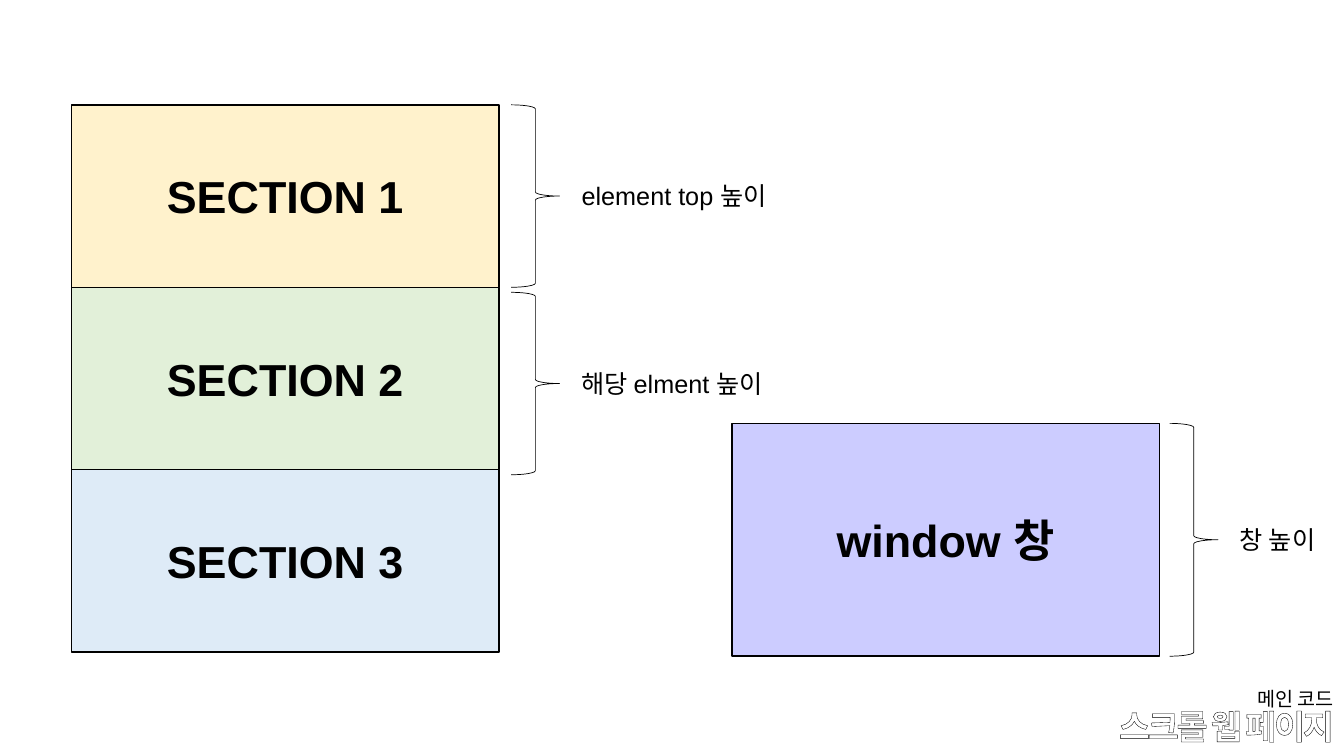
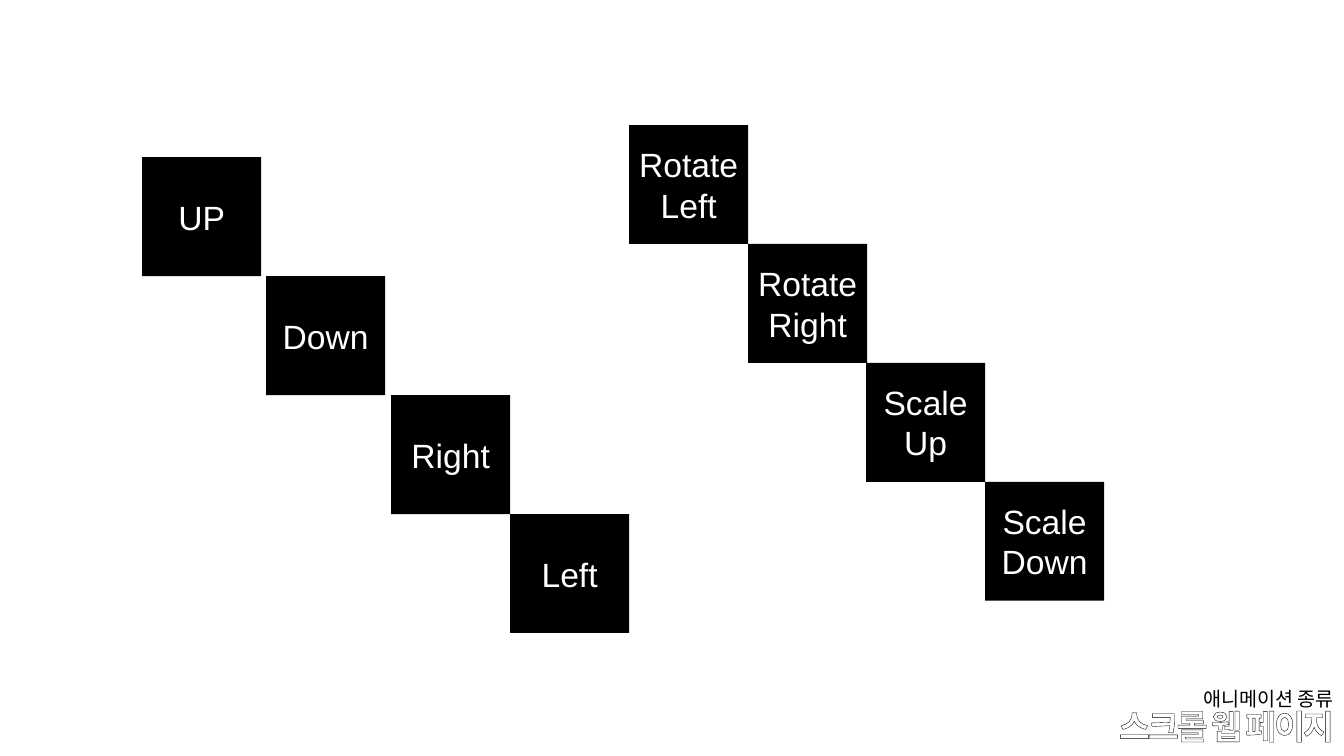
from lxml import etree
from pptx import Presentation
from pptx.dml.color import RGBColor
from pptx.enum.shapes import MSO_SHAPE
from pptx.enum.text import MSO_ANCHOR, MSO_AUTO_SIZE, PP_ALIGN
from pptx.oxml.ns import qn
from pptx.util import Pt

PX = 9144
BLACK = RGBColor(0x00, 0x00, 0x00)
WHITE = RGBColor(0xFF, 0xFF, 0xFF)
CREAM = RGBColor(0xFF, 0xF2, 0xCC)
GREEN = RGBColor(0xE2, 0xF0, 0xD9)
BLUE = RGBColor(0xDE, 0xEB, 0xF7)
LILAC = RGBColor(0xCC, 0xCC, 0xFF)
RECTANGLE = MSO_SHAPE.RECTANGLE
BRACE = MSO_SHAPE.RIGHT_BRACE
MIDDLE = MSO_ANCHOR.MIDDLE
TOP = MSO_ANCHOR.TOP
LEFT = PP_ALIGN.LEFT
CENTER = PP_ALIGN.CENTER
RIGHT = PP_ALIGN.RIGHT
NO_AUTOFIT = MSO_AUTO_SIZE.NONE

TITLE_FONT = {"name": "Noto Sans CJK KR", "size": Pt(24), "bold": True}
SUBTITLE_FONT = {"name": "Arial", "size": Pt(14)}
SECTION_FONT = {"name": "Arial", "size": Pt(32), "bold": True}
LABEL_FONT = {"name": "Arial", "size": Pt(18)}
TILE_FONT = {"name": "Arial", "size": Pt(24)}


def write(shape, text, font, color=BLACK, align=LEFT, anchor=TOP):
    frame = shape.text_frame
    frame.word_wrap = True
    frame.auto_size = NO_AUTOFIT
    frame.vertical_anchor = anchor
    paragraph = frame.paragraphs[0]
    paragraph.alignment = align
    run = paragraph.add_run()
    run.text = text
    for attribute, value in font.items():
        setattr(run.font, attribute, value)
    run.font.color.rgb = color
    return run


def draw(shapes, kind, box, fill=None, line_width=0):
    shape = shapes.add_shape(kind, *(length * PX for length in box))
    shape.shadow.inherit = False
    if fill is None:
        shape.fill.background()
    else:
        shape.fill.solid()
        shape.fill.fore_color.rgb = fill
    if line_width:
        shape.line.color.rgb = BLACK
        shape.line.width = Pt(line_width)
    else:
        shape.line.fill.background()
    return shape


prs = Presentation()
prs.slide_width = 1333 * PX
prs.slide_height = 750 * PX

slides = []
for subtitle in ("메인 코드", "애니메이션 종류"):
    slide = prs.slides.add_slide(prs.slide_layouts[5])
    slides.append(slide)
    title = slide.shapes.title
    title.left, title.top, title.width, title.height = (
        length * PX for length in (1033, 694, 300, 57))
    run = write(title, "스크롤 웹 페이지", TITLE_FONT, WHITE, RIGHT, MIDDLE)
    title.text_frame.paragraphs[0].line_spacing = 0.9
    properties = run.font._element
    properties.set("spc", "-150")
    outline = etree.Element(qn("a:ln"), w=str(Pt(0.25)))
    outline_fill = etree.SubElement(outline, qn("a:solidFill"))
    etree.SubElement(outline_fill, qn("a:srgbClr"), val=str(BLACK))
    properties.insert(0, outline)
    east_asian = etree.Element(qn("a:ea"), typeface=TITLE_FONT["name"])
    properties.find(qn("a:latin")).addnext(east_asian)

    caption = slide.shapes.add_textbox(1151 * PX, 677 * PX, 182 * PX, 33 * PX)
    write(caption, subtitle, SUBTITLE_FONT, align=RIGHT)

code_slide, animation_slide = slides

SECTION_WIDTH, SECTION_HEIGHT, SECTION_TOP = 424, 181, 104
WINDOW_TOP, WINDOW_HEIGHT = 420, 231
BRACE_WIDTH, LABEL_HEIGHT = 48, 40

page = code_slide.shapes.add_group_shape().shapes
window = code_slide.shapes.add_group_shape().shapes

blocks = [(page, f"SECTION {i + 1}", color,
           (71, SECTION_TOP + i * SECTION_HEIGHT, SECTION_WIDTH, SECTION_HEIGHT))
          for i, color in enumerate((CREAM, GREEN, BLUE))]
blocks.append((window, "window 창", LILAC,
               (726, WINDOW_TOP, SECTION_WIDTH, WINDOW_HEIGHT)))
for group, text, color, box in blocks:
    write(draw(group, RECTANGLE, box, color, 1), text, SECTION_FONT,
          align=CENTER, anchor=MIDDLE)

measures = (
    (page, "element top 높이", 507, SECTION_TOP, SECTION_HEIGHT, 235),
    (page, "해당 elment 높이", 507, 290, SECTION_HEIGHT, 235),
    (window, "창 높이", 1160, WINDOW_TOP, WINDOW_HEIGHT, 99),
)
for group, text, left, top, height, label_width in measures:
    draw(group, BRACE, (left, top, BRACE_WIDTH, height), line_width=0.5)
    label = group.add_textbox((left + 60) * PX, (top + (height - LABEL_HEIGHT) // 2) * PX,
                              label_width * PX, LABEL_HEIGHT * PX)
    write(label, text, LABEL_FONT)

TILE = 118
staircases = (
    (156, (("UP", 141), ("Down", 264), ("Right", 388), ("Left", 506))),
    (124, (("Rotate Left", 624), ("Rotate Right", 742), ("Scale Up", 859), ("Scale Down", 977))),
)
for first_top, steps in staircases:
    staircase = animation_slide.shapes.add_group_shape().shapes
    for i, (animation, left) in enumerate(steps):
        tile = draw(staircase, RECTANGLE, (left, first_top + i * TILE, TILE, TILE), BLACK)
        tile.text_frame.margin_left = tile.text_frame.margin_right = 5 * PX
        write(tile, animation, TILE_FONT, WHITE, CENTER, MIDDLE)

prs.save("out.pptx")
